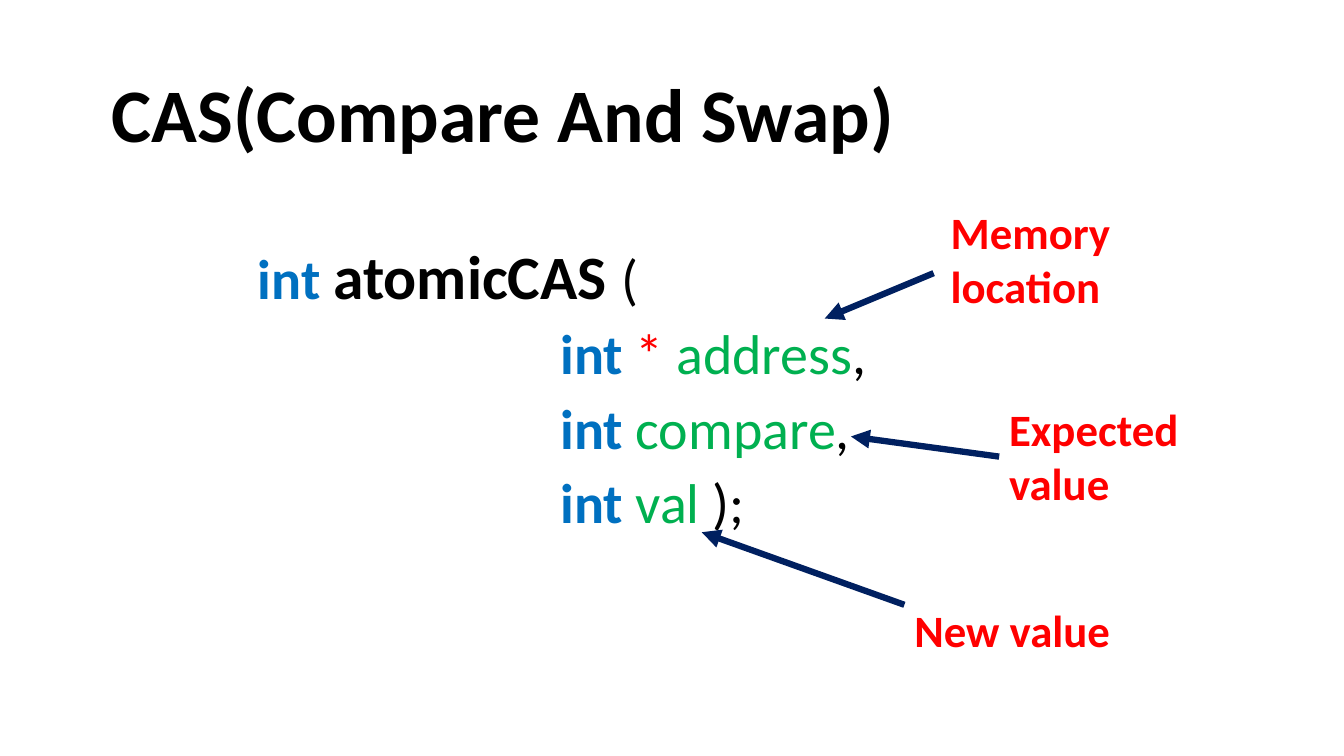
from lxml.etree import SubElement
from pptx import Presentation
from pptx.dml.color import RGBColor
from pptx.enum.shapes import MSO_CONNECTOR
from pptx.enum.text import MSO_ANCHOR, PP_ALIGN
from pptx.oxml.ns import qn
from pptx.util import Inches, Pt

BLACK, BLUE, GREEN, RED, NAVY = "000000", "0070C0", "00B050", "FF0000", "002060"
LEFT_SIDE = 1

# Each code line: (text, colour, bold, size) runs
SIGNATURE = [("int ", BLUE, True, 40), ("atomicCAS ", BLACK, True, 44), ("(", BLACK, False, 40)]
PARAMETERS = [
    [("int ", BLUE, True, 40), ("* ", RED, False, 40), ("address", GREEN, False, 40),
     (",", BLACK, False, 40)],
    [("int ", BLUE, True, 40), ("compare", GREEN, False, 40), (",", BLACK, False, 40)],
    [("int ", BLUE, True, 40), ("val ", GREEN, False, 40), (");", BLACK, False, 40)],
]

# Each note: text, box, arrow start (None joins the box's left side), arrow tip
NOTES = [
    ("Memory location", (9.33, 1.98, 2.97, 1.18), (9.26, 2.71), (8.18, 3.16)),
    ("Expected value", (9.91, 3.94, 2.97, 1.18), None, (8.44, 4.33)),
    ("New value", (8.97, 5.93, 2.97, 0.64), (8.97, 6), (6.96, 5.28)),
]


def rgb(colour):
    return RGBColor.from_string(colour)


def format_font(font, size, colour, bold):
    font.name = "Calibri"
    font.size = Pt(size)
    font.bold = bold
    font.color.rgb = rgb(colour)


def inches(values):
    return [Inches(value) for value in values]


def add_title(slide, box, text):
    title = slide.shapes.title
    title.left, title.top, title.width, title.height = inches(box)
    frame = title.text_frame
    frame.text = text
    frame.vertical_anchor = MSO_ANCHOR.MIDDLE
    heading = frame.paragraphs[0]
    heading.alignment = PP_ALIGN.LEFT
    heading.line_spacing = 0.9
    format_font(heading.runs[0].font, 54, BLACK, True)


def add_declaration(slide, box):
    frame = slide.shapes.add_textbox(*inches(box)).text_frame
    frame.word_wrap = True
    for index, pieces in enumerate([SIGNATURE, *PARAMETERS]):
        line = frame.add_paragraph() if index else frame.paragraphs[0]
        line.line_spacing = 0.9
        if index:
            # Parameters sit indented under the function name
            line.space_before = Pt(10)
            line._p.get_or_add_pPr().set("marL", str(Inches(3)))
        for text, colour, bold, size in pieces:
            run = line.add_run()
            run.text = text
            format_font(run.font, size, colour, bold)


def add_note(slide, text, box, start, tip):
    note = slide.shapes.add_textbox(*inches(box))
    frame = note.text_frame
    frame.word_wrap = True
    frame.text = text
    format_font(frame.paragraphs[0].runs[0].font, 32, RED, True)

    # Arrow from the note to the parameter it explains
    arrow = slide.shapes.add_connector(
        MSO_CONNECTOR.STRAIGHT, *inches(start or box[:2]), *inches(tip))
    if start is None:
        arrow.begin_connect(note, LEFT_SIDE)
    arrow.line.color.rgb = rgb(NAVY)
    arrow.line.width = Pt(4.5)
    SubElement(arrow.line._get_or_add_ln(), qn("a:tailEnd"), type="triangle")
    SubElement(arrow._element.spPr, qn("a:effectLst"))


def main():
    prs = Presentation()
    prs.slide_width, prs.slide_height = Inches(13.33), Inches(7.5)
    slide = prs.slides.add_slide(prs.slide_layouts[5])
    add_title(slide, (1.01, 0.45, 11.5, 1.45), "CAS(Compare And Swap)")
    add_declaration(slide, (2.46, 2.39, 7.45, 4.76))
    for note in NOTES:
        add_note(slide, *note)
    prs.save("out.pptx")


if __name__ == "__main__":
    main()
